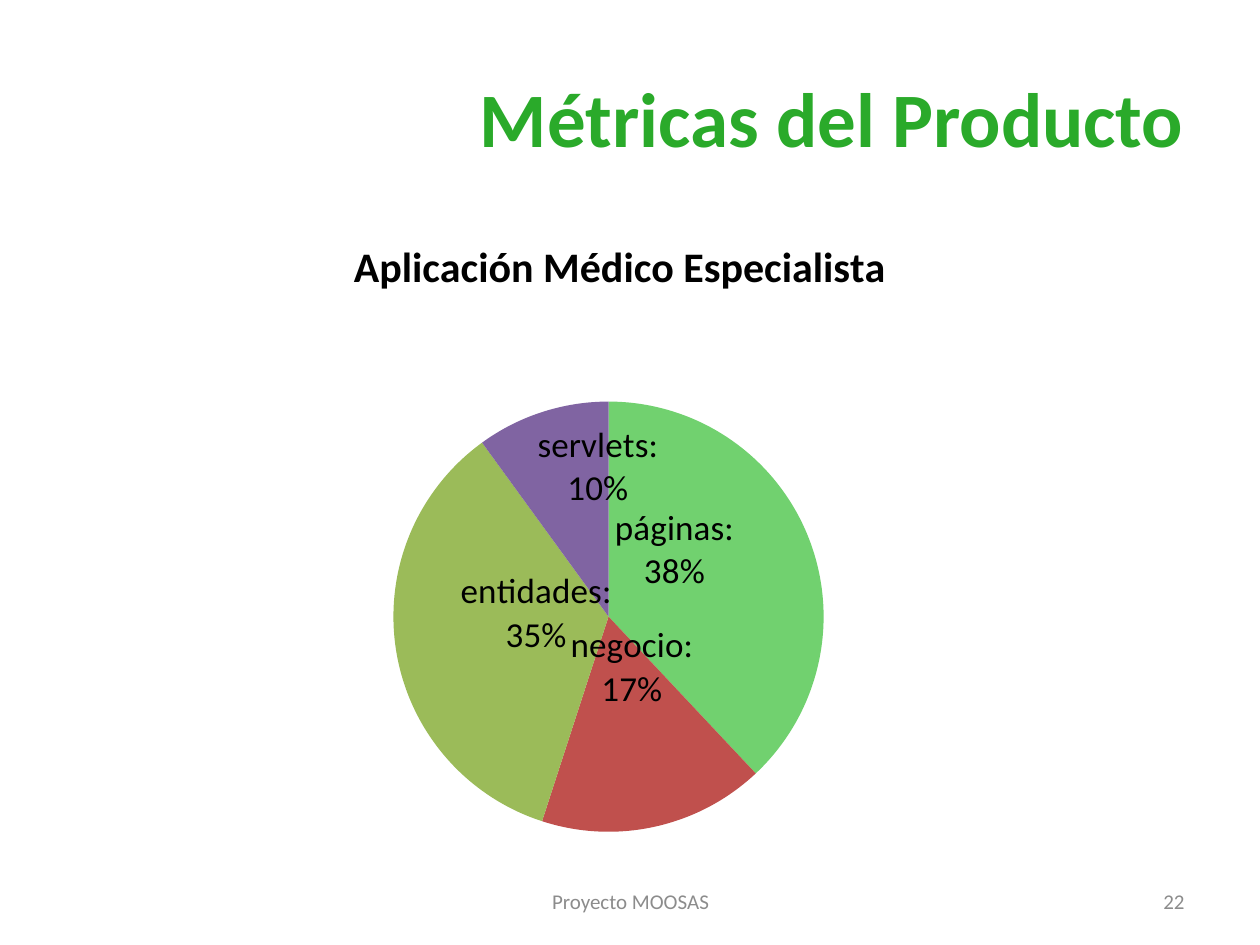
"""Build the product metrics slide with its pie chart."""
from lxml import etree
from pptx import Presentation
from pptx import util as u
from pptx.chart.data import CategoryChartData
from pptx.dml.color import RGBColor
from pptx.enum import chart as c, text as t

COLORS = {"title": "2AAA2A", "footer": "8C8C8C", "text": "000000"}
FONT = "Calibri"
TITLE = "Métricas del Producto"
CHART_TITLE = "Aplicación Médico Especialista"
FOOTERS = [
    ("Proyecto MOOSAS", (3.42, 6.95, 3.17, 0.4), t.PP_ALIGN.CENTER),
    ("22", (7.17, 6.95, 2.33, 0.4), t.PP_ALIGN.RIGHT),
]
SLICES = [
    ("páginas: 38%", 38, "71D16F", (-0.03, -0.04)),
    ("negocio: 17%", 17, "C0504D", (0, -0.08)),
    ("entidades: 35%", 35, "9BBB59", (0.03, -0.03)),
    ("servlets:\n10%", 10, "8064A2", (0.02, -0.07)),
]
CHART_BOX = (0.42, 1.67, 9, 5.42)
PIE_SHARES = {"x": 0.3, "y": 0.28, "w": 0.38, "h": 0.63}


def format_font(font, size, color="text", bold=False):
    font.name, font.size, font.bold = FONT, u.Pt(size), bold
    font.color.rgb = RGBColor.from_string(COLORS[color])


def write(frame, text, align=t.PP_ALIGN.CENTER, **style):
    frame.text = text
    for paragraph in frame.paragraphs:
        paragraph.alignment = align
        for run in paragraph.runs:
            format_font(run.font, **style)


def place(shape, box):
    shape.left, shape.top, shape.width, shape.height = map(u.Inches, box)


def make_layout(parent, shares, **modes):
    layout = parent.makeelement(f"{{{parent.nsmap['c']}}}layout")
    manual = etree.SubElement(layout, layout.tag.replace("layout", "manualLayout"))
    for name, value in {**modes, **shares}.items():
        tag = layout.tag.replace("layout", name)
        etree.SubElement(manual, tag).set("val", str(value))
    return layout


def add_pie(slide):
    data = CategoryChartData()
    data.categories = [str(number + 1) for number in range(len(SLICES))]
    data.add_series("Series 1", [value for _, value, _, _ in SLICES])
    frame = slide.shapes.add_chart(
        c.XL_CHART_TYPE.PIE, *map(u.Inches, CHART_BOX), data)
    chart = frame.chart
    format_font(chart.font, 10)
    chart.has_legend = False
    chart.has_title = True
    write(chart.chart_title.text_frame, CHART_TITLE, size=24, bold=True)
    plot = chart.plots[0]
    plot.vary_by_categories = True
    plot.has_data_labels = True
    plot.data_labels.show_percentage = True
    plot.data_labels.show_value = False
    format_font(plot.data_labels.font, 20)
    series = plot.series[0]
    for index, (label, _, color, offset) in enumerate(SLICES):
        point = series.points[index]
        point.format.fill.solid()
        point.format.fill.fore_color.rgb = RGBColor.from_string(color)
        write(point.data_label.text_frame, label, size=20)
        point.data_label.position = c.XL_LABEL_POSITION.CENTER
        element = series._element.xpath(f"c:dLbls/c:dLbl[c:idx/@val='{index}']")[0]
        element.insert(1, make_layout(element, dict(zip("xy", offset))))
    area = plot._element.getparent()
    for old in area.xpath("c:layout"):
        area.remove(old)
    area.insert(0, make_layout(area, PIE_SHARES, layoutTarget="inner",
                               xMode="edge", yMode="edge"))


def main():
    presentation = Presentation()
    presentation.slide_width, presentation.slide_height = u.Inches(10), u.Inches(7.5)
    slide = presentation.slides.add_slide(presentation.slide_layouts[5])
    title = slide.shapes.title
    place(title, (0.5, 0.3, 9, 1.25))
    title.text_frame.vertical_anchor = t.MSO_ANCHOR.MIDDLE
    write(title.text_frame, TITLE, t.PP_ALIGN.RIGHT,
          size=44, color="title", bold=True)
    for text, box, align in FOOTERS:
        footer = slide.shapes.add_textbox(*map(u.Inches, box)).text_frame
        footer.word_wrap = True
        footer.vertical_anchor = t.MSO_ANCHOR.MIDDLE
        write(footer, text, align, size=12, color="footer")
    add_pie(slide)
    presentation.save("out.pptx")


if __name__ == "__main__":
    main()
